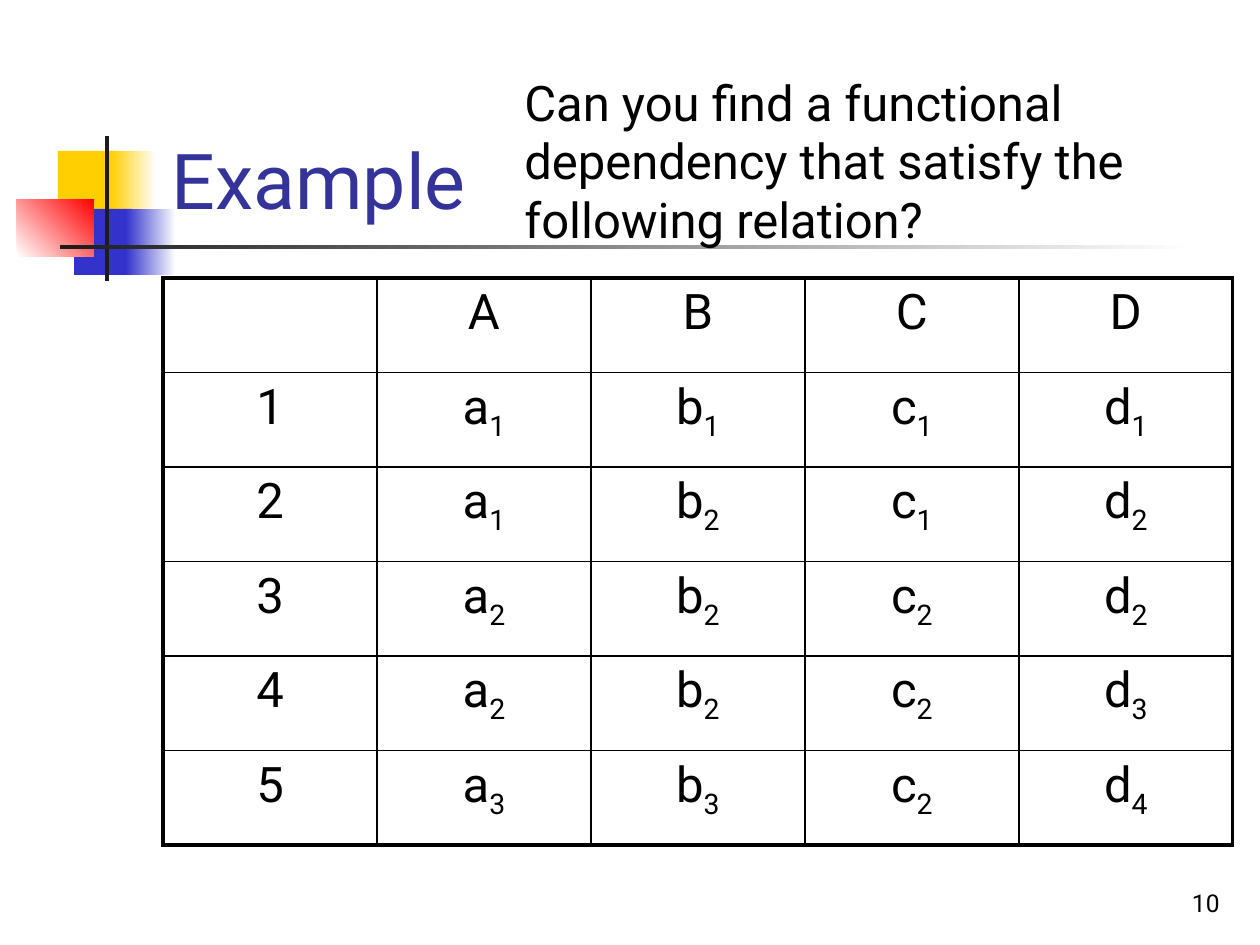
"""Build a slide that asks for functional dependencies in a relation."""
import pptx
import pptx.dml.color
import pptx.enum.shapes
import pptx.enum.text
import pptx.oxml
import pptx.oxml.ns
import pptx.util

ALIGN = pptx.enum.text.PP_ALIGN
ANCHOR = pptx.enum.text.MSO_ANCHOR
FIT = pptx.enum.text.MSO_AUTO_SIZE
HUES = {
    "gold": "FFCF01", "blue": "3333CC", "red": "FF0000", "dark": "1C1C1C",
    "white": "FFFFFF", "black": "000000", "title": "333399",
}
BLOCKS = [
    ((58, 151, 60, 66), ["gold"], 0),
    ((111, 151, 45, 66), ["gold", "white"], 0),
    ((74, 209, 58, 66), ["blue"], 0),
    ((126, 209, 50, 66), ["blue", "white"], 0),
    ((17, 199, 77, 58), ["white", "red"], 45),
    ((105, 136, 4, 145), ["dark"], 0),
    ((60, 245, 1134, 4), ["dark", "white"], 0),
]
HEADS = "ABCD"
TUPLES = ["1111", "1212", "2222", "2223", "3324"]
QUERY = "Can you find a functional dependency that satisfy the following relation?"


def px(num):
    return pptx.util.Emu(round(num * 914400 / 126))


def hue(name):
    return pptx.dml.color.RGBColor.from_string(HUES[name])


def apply(item, vals):
    for key, val in vals.items():
        setattr(item, key, val)


class Deck:
    """Hold the text style and the current slide."""

    def __init__(self, wide, high, font):
        self.file = pptx.Presentation()
        apply(self.file, {"slide_width": px(wide), "slide_height": px(high)})
        self.slide = self.file.slides.add_slide(self.file.slide_layouts[5])
        self.font = font

    def place(self, shape, box):
        apply(shape, dict(zip(("left", "top", "width", "height"), map(px, box))))

    def words(self, para, text, size, color="black", low=False):
        run = para.add_run()
        run.text = text
        apply(run.font, {"name": self.font, "size": pptx.util.Pt(size)})
        run.font.color.rgb = hue(color)
        if low:
            run.font._element.set("baseline", "-25000")

    def fill(self, frame, text, size, color, align, look):
        apply(frame, {"word_wrap": True, **look})
        para = frame.paragraphs[0]
        para.alignment = align
        self.words(para, text, size, color)

    def title(self, box, text, size, color):
        shape = self.slide.shapes.title
        self.place(shape, box)
        look = {"vertical_anchor": ANCHOR.BOTTOM, "auto_size": FIT.NONE}
        self.fill(shape.text_frame, text, size, color, ALIGN.LEFT, look)

    def text(self, box, text, size, align=ALIGN.LEFT, **look):
        shape = self.slide.shapes.add_textbox(*map(px, box))
        self.fill(shape.text_frame, text, size, "black", align, look)

    def block(self, box, tones, angle):
        kind = pptx.enum.shapes.MSO_SHAPE.RECTANGLE
        shape = self.slide.shapes.add_shape(kind, *map(px, box))
        shape.shadow.inherit = False
        shape.line.fill.background()
        if len(tones) == 1:
            shape.fill.solid()
            shape.fill.fore_color.rgb = hue(tones[0])
            return
        shape.fill.gradient()
        shape.fill.gradient_angle = angle
        for stop, tone in zip(shape.fill.gradient_stops, tones):
            stop.color.rgb = hue(tone)

    def border(self, cell, sides):
        props = cell._tc.get_or_add_tcPr()
        for spot, (side, thick) in enumerate(sides.items()):
            width = pptx.util.Pt(2.25 if thick else 1)
            props.insert(spot, pptx.oxml.parse_xml(
                f'<a:ln{side} {pptx.oxml.ns.nsdecls("a")} w="{width}"><a:solidFill>'
                f'<a:srgbClr val="{HUES["black"]}"/></a:solidFill></a:ln{side}>'))

    def table(self, box, rows, size):
        tall, wide = len(rows), len(rows[0])
        grid = self.slide.shapes.add_table(tall, wide, *map(px, box)).table
        apply(grid, {"first_row": False, "horz_banding": False})
        for r, row in enumerate(rows):
            for c, (base, low) in enumerate(row):
                cell = grid.cell(r, c)
                cell.fill.background()
                para = cell.text_frame.paragraphs[0]
                para.alignment = ALIGN.CENTER
                if base:
                    self.words(para, base, size)
                if low:
                    self.words(para, low, size, low=True)
                self.border(cell, {"L": c == 0, "R": c == wide - 1,
                                   "T": r == 0, "B": r == tall - 1})


def main():
    deck = Deck(1260, 945, "Roboto")
    for block in BLOCKS:
        deck.block(*block)
    deck.text((970, 861, 262, 63), "10", 14, ALIGN.RIGHT,
              vertical_anchor=ANCHOR.BOTTOM)
    deck.title((159, 29, 1074, 202), "Example", 44, "title")
    rows = [[("", "")] + [(head, "") for head in HEADS]]
    for num, marks in enumerate(TUPLES, 1):
        rows.append([(str(num), "")] + list(zip(HEADS.lower(), marks)))
    deck.table((163, 278, 1070, 567), rows, 28)
    deck.text((512, 66, 694, 189), QUERY, 28, auto_size=FIT.SHAPE_TO_FIT_TEXT)
    deck.file.save("out.pptx")


if __name__ == "__main__":
    main()
